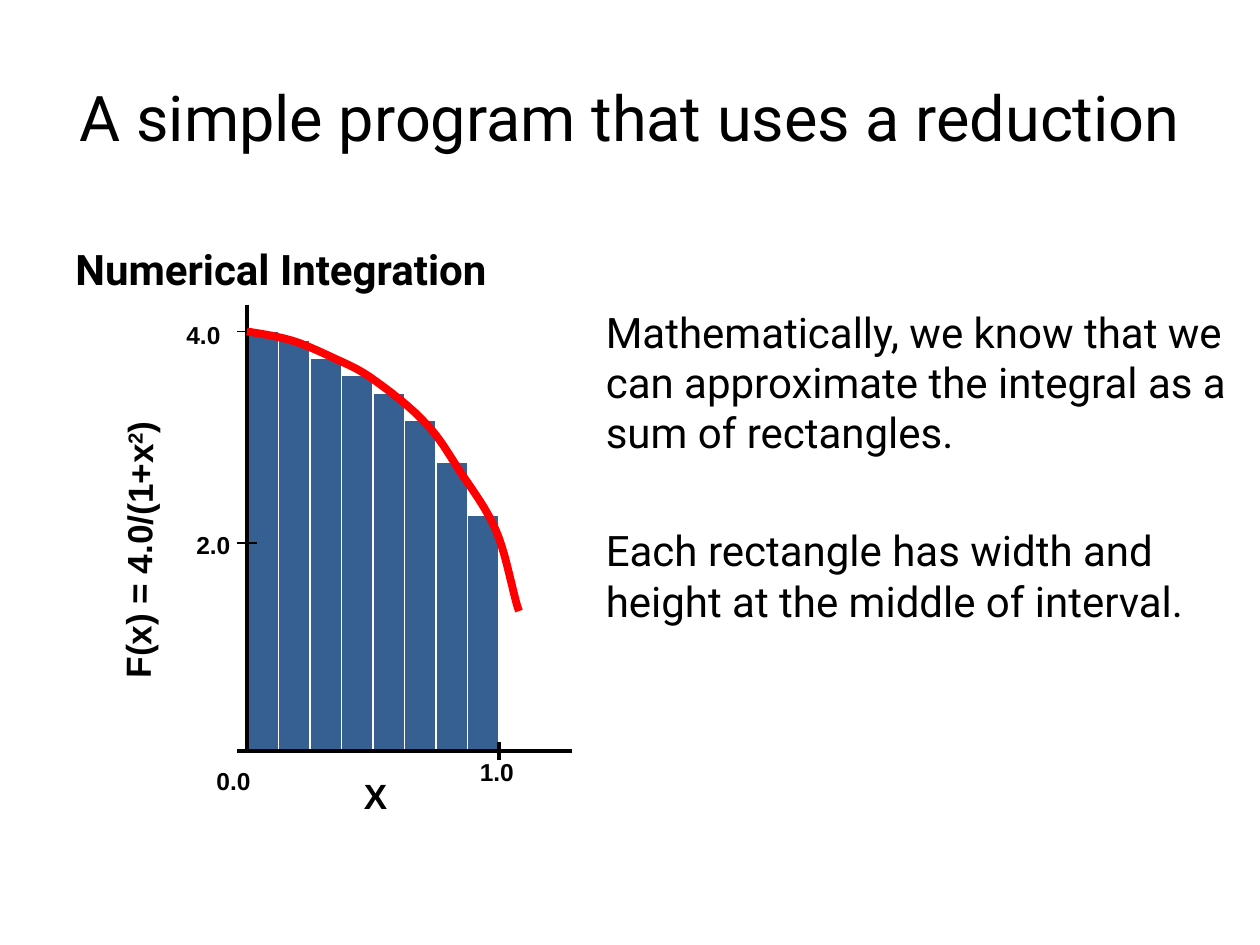
"""Build a slide on numerical integration as a sum of rectangles."""
from dataclasses import dataclass

from lxml import etree
from pptx import Presentation
from pptx.dml.color import RGBColor
from pptx.enum.shapes import MSO_CONNECTOR, MSO_SHAPE
from pptx.enum.text import MSO_ANCHOR, PP_ALIGN
from pptx.oxml.ns import qn
from pptx.util import Pt

BLACK = RGBColor(0x00, 0x00, 0x00)
WHITE = RGBColor(0xFF, 0xFF, 0xFF)
RED = RGBColor(0xFF, 0x00, 0x00)
BLUE = RGBColor(0x37, 0x60, 0x92)
STRAIGHT = MSO_CONNECTOR.STRAIGHT
RECTANGLE = MSO_SHAPE.RECTANGLE
TOP, MIDDLE, BOTTOM = MSO_ANCHOR.TOP, MSO_ANCHOR.MIDDLE, MSO_ANCHOR.BOTTOM
LEFT, CENTER = PP_ALIGN.LEFT, PP_ALIGN.CENTER

AXIS_X, AXIS_Y = 141.1, 429.3
BAR_WIDTH = 18
BAR_TOPS = (189.4, 194.4, 204.5, 214.6, 224.6, 239.8, 264.2, 294.5)
CURVE_START = (141.1, 189.4)
CURVE_SEGMENTS = (
    ((149.8, 190.8), (159.1, 192.2), (168.5, 195.1)),
    ((177.1, 198), (187.2, 203), (195.1, 206.6)),
    ((203, 210.2), (207.4, 212.4), (215.3, 218.2)),
    ((223.2, 223.9), (234.7, 232.6), (242.6, 241.2)),
    ((250.6, 249.1), (256.3, 259.2), (262.8, 269.3)),
    ((270, 280.1), (277.9, 290.2), (283.7, 303.8)),
    ((289.4, 316.8), (293.8, 342.7), (296.6, 349.2)),
)
CURVE_STEPS = 10


@dataclass(frozen=True)
class Span:
    """A run of text with an optional raised baseline."""
    text: str
    raised: bool = False


@dataclass(frozen=True)
class TextBlock:
    """A text box with its paragraphs and style."""
    left: float
    top: float
    width: float
    height: float
    paras: tuple[tuple[Span, ...], ...]
    size: float
    font: str = "Roboto"
    bold: bool = False
    align: PP_ALIGN = LEFT
    anchor: MSO_ANCHOR = TOP
    gap: float = 0
    rotation: float = 0


@dataclass(frozen=True)
class Rule:
    """A straight black line."""
    x1: float
    y1: float
    x2: float
    y2: float
    weight: float


def axis_label(text: str, left: float, top: float, size: float = 14) -> TextBlock:
    """Describe a short bold label beside an axis."""
    return TextBlock(left, top, 36, size + 10, ((Span(text),),), size, "Arial", True)


TEXTS = (
    TextBlock(0, 21.6, 720, 90, ((Span("A simple program that uses a reduction"),),),
              36, align=CENTER, anchor=MIDDLE),
    TextBlock(36, 121, 318, 50.4, ((Span("Numerical Integration"),),),
              24, bold=True, anchor=BOTTOM),
    TextBlock(339.1, 171.4, 372.2, 354.2, (
        (Span("Mathematically, we know that we can approximate the integral "
              "as a sum of rectangles."),),
        (Span("Each rectangle has width and height at the middle of interval."),),
    ), 24, gap=38.6),
    TextBlock(-5, 295.2, 167.8, 31, (
        (Span("F(x) = 4.0/(1+x"), Span("2", True), Span(")")),
    ), 20, "Arial", True, rotation=270.5),
    axis_label("4.0", 99.4, 179.3),
    axis_label("2.0", 105.1, 299.5),
    axis_label("1.0", 267.1, 429.3),
    axis_label("X", 200.9, 439.2, 20),
    axis_label("0.0", 116.6, 434.2),
)
RULES = (
    Rule(AXIS_X, 174.2, AXIS_X, AXIS_Y, 2.25),
    Rule(135.4, 189.4, 146.9, 189.4, 1),
    Rule(135.4, 310.3, 146.9, 310.3, 1),
    Rule(326.9, AXIS_Y, 135.4, AXIS_Y, 2.25),
    Rule(285.1, 424.1, 285.1, 434.2, 2.25),
)


def add_text(page, block: TextBlock) -> None:
    """Add a text box, run by run."""
    box = page.shapes.add_textbox(
        Pt(block.left), Pt(block.top), Pt(block.width), Pt(block.height))
    box.rotation = block.rotation
    frame = box.text_frame
    frame.word_wrap = True
    frame.vertical_anchor = block.anchor
    for index, spans in enumerate(block.paras):
        para = frame.add_paragraph() if index else frame.paragraphs[0]
        para.alignment = block.align
        para.space_before = Pt(block.gap if index else 0)
        for span in spans:
            run = para.add_run()
            run.text = span.text
            run.font.name = block.font
            run.font.size = Pt(block.size)
            run.font.bold = block.bold
            run.font.color.rgb = BLACK
            if span.raised:
                run.font._element.set("baseline", "30000")


def add_bar(page, index: int, top: float) -> None:
    """Add one rectangle of the sum, standing on the x axis."""
    bar = page.shapes.add_shape(
        RECTANGLE, Pt(AXIS_X + index * BAR_WIDTH), Pt(top),
        Pt(BAR_WIDTH), Pt(AXIS_Y - top))
    bar.shadow.inherit = False
    bar.fill.solid()
    bar.fill.fore_color.rgb = BLUE
    bar.line.color.rgb = WHITE
    bar.line.width = Pt(1)


def add_rule(page, rule: Rule) -> None:
    """Add an axis or a tick."""
    line = page.shapes.add_connector(
        STRAIGHT, Pt(rule.x1), Pt(rule.y1), Pt(rule.x2), Pt(rule.y2))
    line.line.color.rgb = BLACK
    line.line.width = Pt(rule.weight)
    etree.SubElement(line._element.spPr, qn("a:effectLst"))


def curve_points() -> list[tuple[int, int]]:
    """Sample the cubic segments of the function curve."""
    points = []
    start = CURVE_START
    for first, second, end in CURVE_SEGMENTS:
        for step in range(1, CURVE_STEPS + 1):
            t = step / CURVE_STEPS
            u = 1 - t
            points.append(tuple(
                Pt(u**3 * a + 3 * u * u * t * b + 3 * u * t * t * c + t**3 * d)
                for a, b, c, d in zip(start, first, second, end)))
        start = end
    return points


def add_curve(page) -> None:
    """Add the function curve above the rectangles."""
    builder = page.shapes.build_freeform(*(Pt(value) for value in CURVE_START))
    builder.add_line_segments(curve_points(), close=False)
    curve = builder.convert_to_shape()
    curve.shadow.inherit = False
    curve.fill.background()
    curve.line.color.rgb = RED
    curve.line.width = Pt(4.5)


def main() -> None:
    """Build and save the deck."""
    deck = Presentation()
    deck.slide_width, deck.slide_height = Pt(720), Pt(540)
    page = deck.slides.add_slide(deck.slide_layouts[6])
    for index, top in enumerate(BAR_TOPS):
        add_bar(page, index, top)
    for rule in RULES:
        add_rule(page, rule)
    add_curve(page)
    for block in TEXTS:
        add_text(page, block)
    deck.save("out.pptx")


if __name__ == "__main__":
    main()
